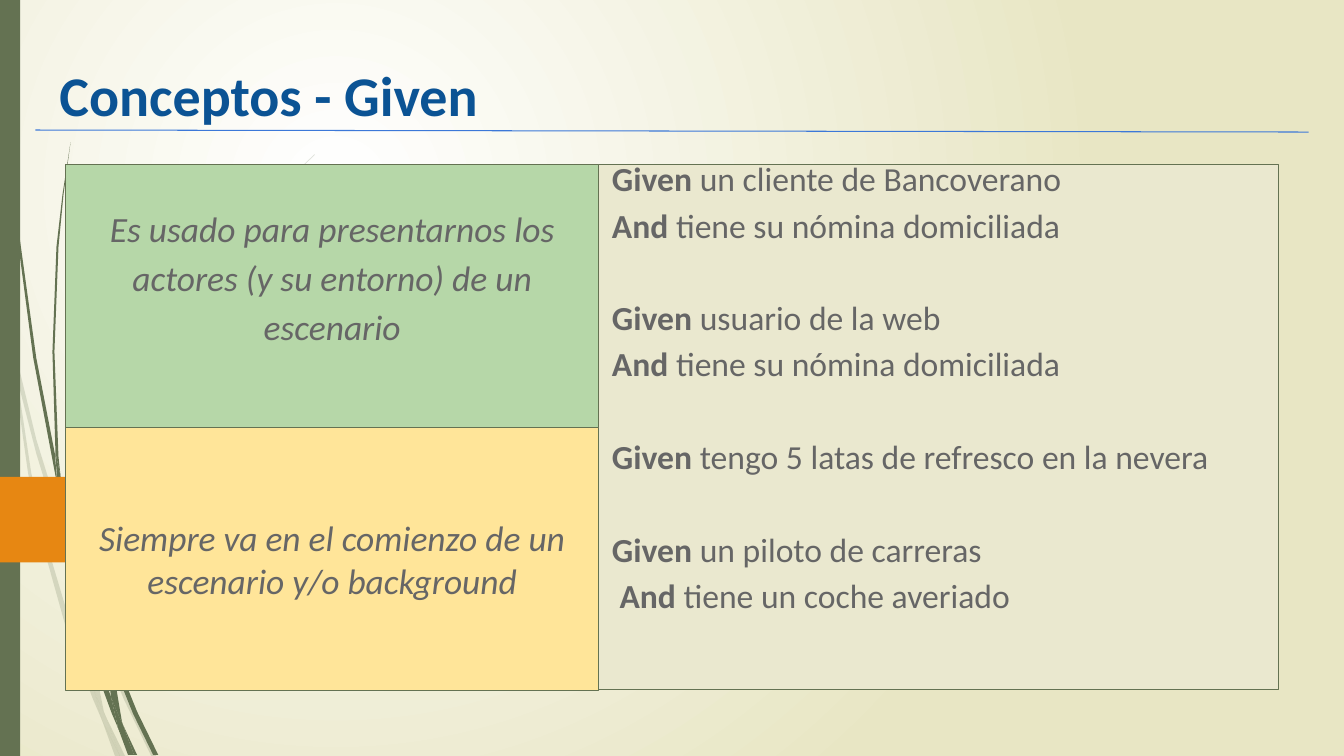
from dataclasses import dataclass

from lxml.etree import SubElement
from pptx import Presentation
from pptx.dml.color import RGBColor
from pptx.enum.shapes import MSO_CONNECTOR, MSO_SHAPE
from pptx.enum.text import MSO_ANCHOR, PP_ALIGN
from pptx.oxml.ns import qn
from pptx.util import Inches, Pt


@dataclass(frozen=True)
class Theme:
    font: str = "Calibri"
    title_size: float = 40
    example_size: float = 24
    note_size: float = 25.3
    title: str = "0B5394"
    body: str = "666666"
    olive: str = "647252"
    orange: str = "E78712"
    rule: str = "3C78D8"
    cream: str = "EAE8CF"
    green: str = "B6D7A8"
    yellow: str = "FFE599"
    background: tuple = ("FFFFFF", "E8E6C4")
    hairline: float = 0.75
    inset: float = 0.13


# Grass outlines in inches: pale blades behind, dark blades in front
PALE_BLADES = [
    [(0.58, 5.22), (0.84, 5.99), (0.85, 5.86), (0.62, 5.2), (0.36, 4.36), (0.14, 3.45),
     (0.17, 3.76), (0.36, 4.5)],
    [(0.92, 6.07), (0.88, 5.96), (0.88, 6.1), (1.23, 6.94), (1.5, 7.5), (1.55, 7.5),
     (1.27, 6.92)],
    [(1.19, 7.5), (1.24, 7.5), (1.05, 7.11)],
    [(0.93, 6.83), (0.7, 6.19), (0.48, 5.45), (0.31, 4.69), (0.17, 3.76), (0.11, 3.5),
     (0.28, 4.7), (0.44, 5.46), (0.65, 6.21), (0.92, 6.93), (1.01, 7.14), (0.99, 7.07)],
    [(0.84, 5.99), (0.87, 6.46), (0.93, 6.83), (0.96, 6.92), (1.05, 7.11), (1.03, 7.06),
     (0.91, 6.46), (0.88, 6.1), (0.88, 6.08)],
    [(0.88, 5.84), (1.1, 4.62), (1.6, 3.49), (2.29, 2.45), (2.68, 1.98), (2.9, 1.75),
     (3.12, 1.54), (3.12, 1.53), (2.89, 1.75), (2.68, 1.97), (2.28, 2.44), (1.58, 3.48),
     (1.07, 4.61), (0.85, 5.84), (0.85, 5.86), (0.88, 5.96)],
    [(1.01, 7.14), (1.14, 7.5), (1.19, 7.5)],
    [(0.96, 6.92), (0.93, 6.83), (0.99, 7.07), (1.01, 7.14), (1.19, 7.5), (1.05, 7.11)],
]
DARK_BLADES = [
    [(0.07, 1.1), (0.17, 2.33), (0.33, 3.55), (0.56, 4.77), (0.57, 4.81), (0.55, 4.57),
     (0.55, 4.53), (0.36, 3.55), (0.19, 2.32), (0.08, 1.09), (0.05, 0.48), (0.04, 0),
     (0.03, 0), (0.04, 0.48)],
    [(1.13, 6.49), (1.1, 6.41), (1.11, 6.56), (1.32, 7.08), (1.52, 7.49), (1.57, 7.49),
     (1.36, 7.06)],
    [(1.1, 6.91), (0.98, 6.57), (0.72, 5.56), (0.64, 5.05), (0.57, 4.77), (0.68, 5.57),
     (0.93, 6.59), (1.11, 7.08), (1.17, 7.22), (1.16, 7.17)],
    [(0.6, 4.72), (0.58, 4.53), (0.54, 3.49), (0.58, 2.45), (0.63, 1.93), (0.7, 1.41),
     (0.62, 1.93), (0.56, 2.45), (0.52, 3.49), (0.55, 4.49)],
    [(1.33, 7.49), (1.36, 7.49), (1.22, 7.19)],
    [(0.57, 4.77), (0.64, 5.05), (0.6, 4.72), (0.55, 4.49), (0.55, 4.53)],
    [(1.17, 7.22), (1.27, 7.49), (1.31, 7.49)],
    [(1.06, 6.45), (1.1, 6.91), (1.16, 7.06), (1.22, 7.19), (1.21, 7.16), (1.11, 6.56),
     (1.09, 6.51)],
    [(1.16, 7.06), (1.1, 6.91), (1.16, 7.17), (1.17, 7.22), (1.3, 7.49), (1.33, 7.49),
     (1.22, 7.19)],
]

# Each group holds steps of (keyword, rest of the step)
EXAMPLES = [
    [("Given", " un cliente de Bancoverano"), ("And", " tiene su nómina domiciliada")],
    [("Given", " usuario de la web"), ("And", " tiene su nómina domiciliada")],
    [("Given", " tengo 5 latas de refresco en la nevera")],
    [("Given", " un piloto de carreras"), (" And", " tiene un coche averiado")],
]


class SlideBuilder:
    def __init__(self, slide, theme):
        self.slide = slide
        self.theme = theme

    def background(self):
        fill = self.slide.background.fill
        fill.gradient()
        for stop, color, position in zip(fill.gradient_stops, self.theme.background, (0, 1)):
            stop.color.rgb = RGBColor.from_string(color)
            stop.position = position
        gradient = self.slide.element.xpath(".//p:bg//a:gradFill")[0]
        gradient.remove(gradient.find(qn("a:lin")))
        circle = SubElement(gradient, qn("a:path"), path="circle")
        SubElement(circle, qn("a:fillToRect"), l="50000", t="50000", r="100000", b="100000")

    def paint(self, shape, color, outlined=False, opacity=None):
        shape.shadow.inherit = False
        shape.fill.solid()
        shape.fill.fore_color.rgb = RGBColor.from_string(color)
        if opacity is not None:
            fill_color = shape.element.xpath("./p:spPr/a:solidFill/a:srgbClr")[0]
            SubElement(fill_color, qn("a:alpha"), val=str(opacity * 1000))
        if outlined:
            shape.line.color.rgb = RGBColor.from_string(self.theme.olive)
            shape.line.width = Pt(self.theme.hairline)
        else:
            shape.line.fill.background()

    def blade(self, points, opacity=None):
        # Freeform points are whole numbers, so count in hundredths of an inch
        start, *others = [(round(x * 100), round(y * 100)) for x, y in points]
        builder = self.slide.shapes.build_freeform(*start, scale=Inches(0.01))
        builder.add_line_segments(others, close=True)
        self.paint(builder.convert_to_shape(), self.theme.olive, opacity=opacity)

    def block(self, kind, box, color, outlined=False):
        shape = self.slide.shapes.add_shape(kind, *map(Inches, box))
        self.paint(shape, color, outlined)
        return shape

    def frame(self, shape, anchor, top=None, bottom=None):
        inset = self.theme.inset
        text_frame = shape.text_frame
        text_frame.word_wrap = True
        text_frame.vertical_anchor = anchor
        text_frame.margin_left = text_frame.margin_right = Inches(inset)
        text_frame.margin_top = Inches(inset if top is None else top)
        text_frame.margin_bottom = Inches(inset if bottom is None else bottom)
        return text_frame

    def style(self, run, size, color, bold=False, italic=False):
        run.font.name = self.theme.font
        run.font.size = Pt(size)
        run.font.color.rgb = RGBColor.from_string(color)
        run.font.bold = bold
        run.font.italic = italic

    def title(self, text, box):
        shape = self.slide.shapes.add_textbox(*map(Inches, box))
        text_frame = self.frame(shape, MSO_ANCHOR.BOTTOM)
        text_frame.text = text
        paragraph = text_frame.paragraphs[0]
        paragraph.line_spacing = 1.5
        self.style(paragraph.runs[0], self.theme.title_size, self.theme.title, bold=True)

    def note(self, text, box, color, line_spacing=1.0, bottom=None):
        shape = self.block(MSO_SHAPE.RECTANGLE, box, color, outlined=True)
        text_frame = self.frame(shape, MSO_ANCHOR.MIDDLE, bottom=bottom)
        text_frame.text = text
        paragraph = text_frame.paragraphs[0]
        paragraph.alignment = PP_ALIGN.CENTER
        paragraph.line_spacing = line_spacing
        self.style(paragraph.runs[0], self.theme.note_size, self.theme.body, italic=True)

    def examples(self, groups, box):
        shape = self.block(MSO_SHAPE.RECTANGLE, box, self.theme.cream, outlined=True)
        text_frame = self.frame(shape, MSO_ANCHOR.MIDDLE, top=0, bottom=0.86)
        paragraph = None
        for group in groups:
            for step, texts in enumerate(group):
                first = paragraph is None
                paragraph = text_frame.paragraphs[0] if first else text_frame.add_paragraph()
                paragraph.alignment = PP_ALIGN.LEFT
                paragraph.line_spacing = 1.15
                paragraph.space_before = Pt(33 if step == 0 and not first else 0)
                for text, bold in zip(texts, (True, False)):
                    run = paragraph.add_run()
                    run.text = text
                    self.style(run, self.theme.example_size, self.theme.body, bold=bold)

    def rule(self, *ends):
        line = self.slide.shapes.add_connector(MSO_CONNECTOR.STRAIGHT, *map(Inches, ends))
        line.line.color.rgb = RGBColor.from_string(self.theme.rule)
        line.line.width = Pt(self.theme.hairline)
        SubElement(line.element.spPr, qn("a:effectLst"))


def main():
    presentation = Presentation()
    presentation.slide_width, presentation.slide_height = Inches(13.33), Inches(7.5)
    theme = Theme()
    builder = SlideBuilder(presentation.slides.add_slide(presentation.slide_layouts[6]), theme)

    # Backdrop: gradient, grass, side bar and arrow tab
    builder.background()
    for blades, opacity in ((PALE_BLADES, 20), (DARK_BLADES, None)):
        for points in blades:
            builder.blade(points, opacity)
    builder.block(MSO_SHAPE.RECTANGLE, (0, 0, 0.2, 7.5), theme.olive)
    builder.block(MSO_SHAPE.PENTAGON, (0, 4.73, 1.91, 0.85), theme.orange)

    # Heading
    builder.title("Conceptos - Given", (0.46, 0.2, 12.42, 1.2))

    # Panels: examples on the right, two stacked notes on the left
    left, top, note_width, note_height = 0.65, 1.63, 5.29, 2.61
    builder.examples(EXAMPLES, (left + note_width, top, 6.74, 5.21))
    builder.note("Es usado para presentarnos los actores (y su entorno) de un escenario",
                 (left, top, note_width, note_height), theme.green, 1.15, bottom=0.56)
    builder.note("Siempre va en el comienzo de un escenario y/o background",
                 (left, top + note_height, note_width, note_height), theme.yellow)
    builder.rule(0.35, 1.29, 12.98, 1.31)

    presentation.save("out.pptx")


if __name__ == "__main__":
    main()
